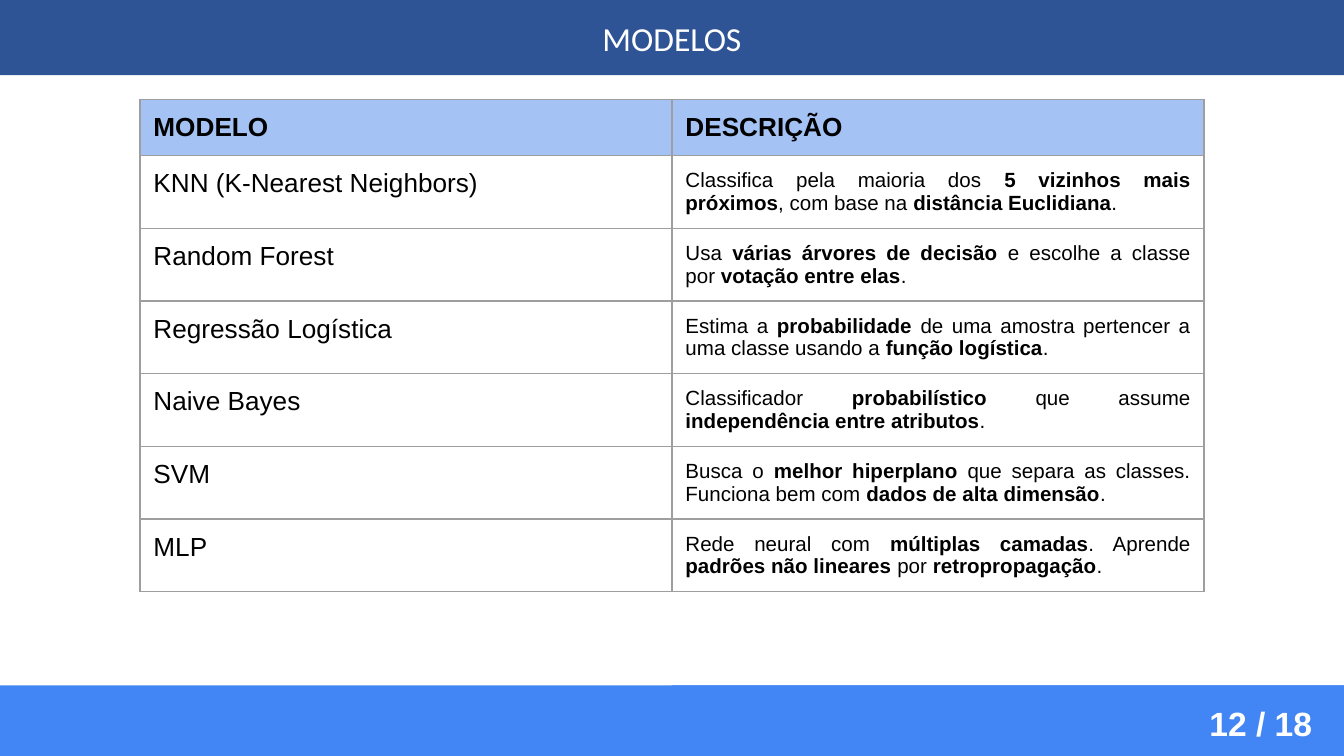
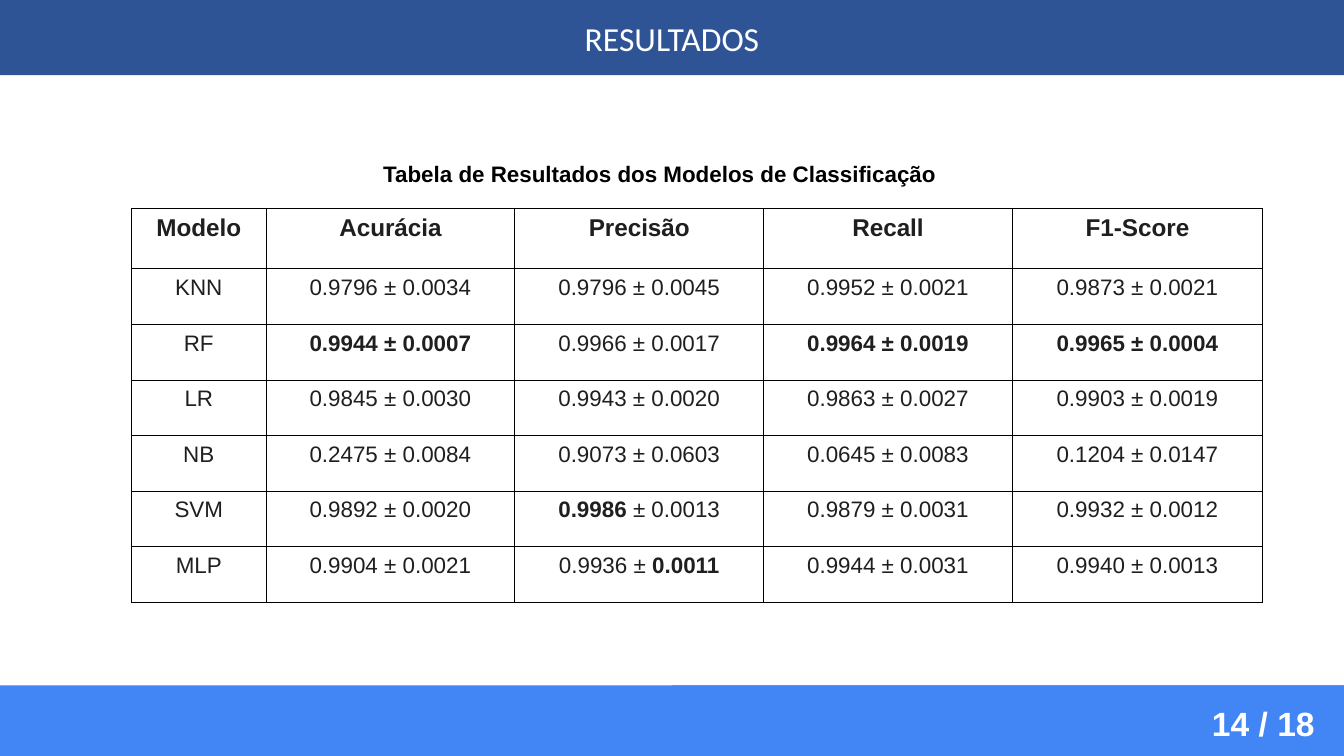
"""Build two slides that present classification models and their results."""
from dataclasses import dataclass
from typing import Optional

from lxml import etree
from pptx import Presentation
from pptx import util as u
from pptx.dml.color import RGBColor
from pptx.enum import shapes, text
from pptx.oxml.ns import qn
from pptx.slide import Slide
from pptx.text.text import TextFrame

COLORS = {
    "title_band": "2F5496",
    "footer_band": "4285F4",
    "header_row": "A4C2F4",
    "grid": "9E9E9E",
    "black": "000000",
    "ink": "1F1F1F",
    "white": "FFFFFF",
}
LEFT, CENTER, JUSTIFY = text.PP_ALIGN.LEFT, text.PP_ALIGN.CENTER, text.PP_ALIGN.JUSTIFY
TOP, MIDDLE = text.MSO_ANCHOR.TOP, text.MSO_ANCHOR.MIDDLE
SLIDE_WIDTH, SLIDE_HEIGHT = 720, 405
FOOTER_TOP = 367.2
TOTAL_PAGES = 18


@dataclass(frozen=True)
class Box:
    left: float
    top: float
    width: float
    height: float

    def points(self) -> tuple:
        return tuple(u.Pt(v) for v in (self.left, self.top, self.width, self.height))


@dataclass(frozen=True)
class Band:
    box: Box
    color: str


@dataclass(frozen=True)
class TableStyle:
    header_size: float
    column_sizes: tuple
    column_width: tuple
    header_height: float
    row_height: float
    header_align: int
    body_align: int
    color: str
    border: str
    border_width: float
    margins: tuple
    spacing: Optional[float] = None
    header_fill: Optional[str] = None
    body_fill: Optional[str] = None


TITLE_BAND = Band(Box(0, 0, SLIDE_WIDTH, 40.3), "title_band")
FOOTER_BANDS = [
    Band(Box(start, FOOTER_TOP, SLIDE_WIDTH - start, SLIDE_HEIGHT - FOOTER_TOP), "footer_band")
    for start in (0, SLIDE_WIDTH / 2)
]
TITLE_BOX = Box(3.6, 5.8, 712.8, 28.8)
CAPTION_BOX = Box(85.7, 82.1, 535.7, 21.6)

MODELS = [
    ("MODELO", "DESCRIÇÃO"),
    ("KNN (K-Nearest Neighbors)",
     "Classifica pela maioria dos **5 vizinhos mais próximos**, com base na **distância Euclidiana**."),
    ("Random Forest",
     "Usa **várias árvores de decisão** e escolhe a classe por **votação entre elas**."),
    ("Regressão Logística",
     "Estima a **probabilidade** de uma amostra pertencer a uma classe usando a **função logística**."),
    ("Naive Bayes",
     "Classificador **probabilístico** que assume **independência entre atributos**."),
    ("SVM",
     "Busca o **melhor hiperplano** que separa as classes. Funciona bem com **dados de alta dimensão**."),
    ("MLP",
     "Rede neural com **múltiplas camadas**. Aprende **padrões não lineares** por **retropropagação**."),
]
RESULTS = [
    ("Modelo", "Acurácia", "Precisão", "Recall", "F1-Score"),
    ("KNN", "0.9796 ± 0.0034", "0.9796 ± 0.0045", "0.9952 ± 0.0021", "0.9873 ± 0.0021"),
    ("RF", "**0.9944 ± 0.0007**", "0.9966 ± 0.0017", "**0.9964 ± 0.0019**", "**0.9965 ± 0.0004**"),
    ("LR", "0.9845 ± 0.0030", "0.9943 ± 0.0020", "0.9863 ± 0.0027", "0.9903 ± 0.0019"),
    ("NB", "0.2475 ± 0.0084", "0.9073 ± 0.0603", "0.0645 ± 0.0083", "0.1204 ± 0.0147"),
    ("SVM", "0.9892 ± 0.0020", "**0.9986 **± 0.0013", "0.9879 ± 0.0031", "0.9932 ± 0.0012"),
    ("MLP", "0.9904 ± 0.0021", "0.9936 ± **0.0011**", "0.9944 ± 0.0031", "0.9940 ± 0.0013"),
]
MODELS_STYLE = TableStyle(
    header_size=14, column_sizes=(14, 11), column_width=(285, 285),
    header_height=12, row_height=30, header_align=LEFT, body_align=JUSTIFY,
    color="black", border="grid", border_width=0.75, margins=(7.2, 7.2),
    header_fill="header_row",
)
RESULTS_STYLE = TableStyle(
    header_size=13, column_sizes=(12,) * 5, column_width=(72, 133.3, 133.3, 133.3, 134),
    header_height=32.4, row_height=29.8, header_align=CENTER, body_align=CENTER,
    color="ink", border="black", border_width=0.6, margins=(3.6, 1.4),
    spacing=1.15, header_fill="white", body_fill="white",
)


def rgb(name: str) -> RGBColor:
    """Return a palette colour."""
    return RGBColor.from_string(COLORS[name])


def write(frame: TextFrame, content: str, *, size: float, color: str, font: str = "Arial",
          bold: bool = False, align: int = LEFT, spacing: Optional[float] = None) -> None:
    """Write one paragraph, with bold toggled by double asterisks."""
    paragraph = frame.paragraphs[0]
    paragraph.alignment = align
    if spacing:
        paragraph.line_spacing = spacing
    for index, piece in enumerate(content.split("**")):
        if piece:
            run = paragraph.add_run()
            run.text = piece
            run.font.name = font
            run.font.size = u.Pt(size)
            run.font.bold = bold or index % 2 == 1
            run.font.color.rgb = rgb(color)


def set_frame(frame: TextFrame, inset: float, anchor: int) -> None:
    """Set wrapping, insets and anchor of a text frame."""
    frame.word_wrap = True
    frame.auto_size = text.MSO_AUTO_SIZE.NONE
    frame.vertical_anchor = anchor
    frame.margin_left = frame.margin_right = u.Pt(inset)
    frame.margin_top = frame.margin_bottom = u.Pt(inset)


def add_band(slide: Slide, band: Band):
    """Draw a flat coloured band."""
    shape = slide.shapes.add_shape(shapes.MSO_SHAPE.RECTANGLE, *band.box.points())
    shape.shadow.inherit = False
    shape.fill.solid()
    shape.fill.fore_color.rgb = rgb(band.color)
    shape.line.fill.background()
    return shape


def add_label(slide: Slide, box: Box, content: str, *, inset: float, anchor: int, **style) -> None:
    """Add a text box with one formatted line."""
    frame = slide.shapes.add_textbox(*box.points()).text_frame
    set_frame(frame, inset, anchor)
    write(frame, content, **style)


def set_borders(cell, color: str, width: float) -> None:
    """Draw all four borders of a table cell."""
    properties = cell._tc.get_or_add_tcPr()
    for side in ("a:lnL", "a:lnR", "a:lnT", "a:lnB"):
        line = etree.SubElement(properties, qn(side), w=str(int(u.Pt(width))))
        fill = etree.SubElement(line, qn("a:solidFill"))
        etree.SubElement(fill, qn("a:srgbClr"), val=COLORS[color])


def add_grid(slide: Slide, left: float, top: float, rows: list, style: TableStyle) -> None:
    """Add a table whose first row is a bold header."""
    height = style.header_height + style.row_height * (len(rows) - 1)
    box = Box(left, top, sum(style.column_width), height)
    table = slide.shapes.add_table(len(rows), len(rows[0]), *box.points()).table
    table.first_row = table.horz_banding = False
    for column, width in zip(table.columns, style.column_width):
        column.width = u.Pt(width)
    side, edge = style.margins
    for r, row in enumerate(rows):
        header = r == 0
        table.rows[r].height = u.Pt(style.header_height if header else style.row_height)
        fill = style.header_fill if header else style.body_fill
        for c, content in enumerate(row):
            cell = table.cell(r, c)
            cell.margin_left = cell.margin_right = u.Pt(side)
            cell.margin_top = cell.margin_bottom = u.Pt(edge)
            set_borders(cell, style.border, style.border_width)
            if fill:
                cell.fill.solid()
                cell.fill.fore_color.rgb = rgb(fill)
            else:
                cell.fill.background()
            write(cell.text_frame, content, color=style.color, bold=header,
                  size=style.header_size if header else style.column_sizes[c],
                  align=style.header_align if header else style.body_align,
                  spacing=style.spacing)


def add_page(deck, heading: str, page: int, page_box: Box) -> Slide:
    """Add a slide with its title band, footer band and page number."""
    slide = deck.slides.add_slide(deck.slide_layouts[5])
    title = slide.shapes.title
    title.left, title.top, title.width, title.height = TITLE_BOX.points()
    set_frame(title.text_frame, 3.6, MIDDLE)
    write(title.text_frame, heading, size=18, color="white", font="Calibri", align=CENTER)
    add_band(slide, TITLE_BAND)._element.addnext(title._element)
    for band in FOOTER_BANDS:
        add_band(slide, band)
    add_label(slide, page_box, f"{page} / {TOTAL_PAGES}", inset=7.2, anchor=TOP,
              size=18, color="white", bold=True)
    return slide


def main() -> None:
    """Build and save the deck."""
    deck = Presentation()
    deck.slide_width, deck.slide_height = u.Pt(SLIDE_WIDTH), u.Pt(SLIDE_HEIGHT)

    models = add_page(deck, "MODELOS", 12, Box(640.8, 369.4, 82.8, 36))
    add_grid(models, 75, 53.3, MODELS, MODELS_STYLE)

    results = add_page(deck, "RESULTADOS", 14, Box(642.2, 369.4, 71.3, 36))
    add_label(results, CAPTION_BOX, "Tabela de Resultados dos Modelos de Classificação",
              inset=3.6, anchor=MIDDLE, size=12, color="black", bold=True, align=CENTER)
    add_grid(results, 70.5, 111.6, RESULTS, RESULTS_STYLE)

    deck.save("out.pptx")


if __name__ == "__main__":
    main()
